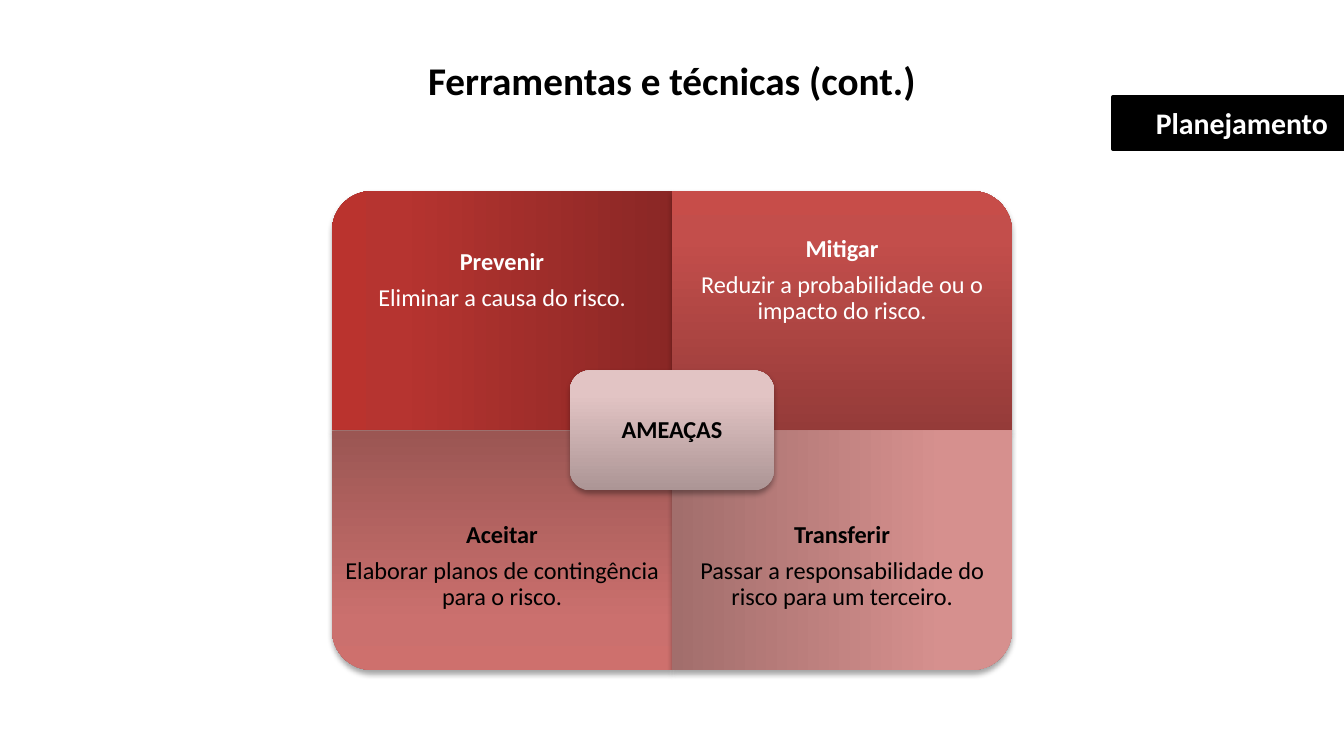
from pptx import Presentation
from pptx.dml.color import RGBColor
from pptx.enum.shapes import MSO_SHAPE as SHAPE
from pptx.enum.text import MSO_ANCHOR as ANCHOR, PP_ALIGN as ALIGN
from pptx.oxml import parse_xml
from pptx.util import Emu, Pt

PX = 914400 / 134.4
NS = 'xmlns:a="http://schemas.openxmlformats.org/drawingml/2006/main"'
WHITE, BLACK = "FFFFFF", "000000"

QUADRANTS = [
    (0, 0, 270, ("8A2725", "B63430", "BA332E"), WHITE,
     "Prevenir", "Eliminar a causa do risco."),
    (1, 0, 0, ("953B39", "C34E4B", "C74D49"), WHITE,
     "Mitigar", "Reduzir a probabilidade ou o impacto do risco."),
    (0, 1, 180, ("9B5653", "CB706E", "CE706D"), BLACK,
     "Aceitar", "Elaborar planos de contingência para o risco."),
    (1, 1, 90, ("A26E6C", "D6908E", "D88F8E"), BLACK,
     "Transferir", "Passar a responsabilidade do risco para um terceiro."),
]


def px(n):
    """Turn pixels into EMU."""
    return Emu(round(n * PX))


def rgb(hex_code):
    """Turn a hex string into a colour."""
    return RGBColor.from_string(hex_code)


def write(sp, lines, size, color, align=ALIGN.CENTER, anchor=ANCHOR.MIDDLE,
          insets=(16, 8, 16, 8), spacing=None):
    """Fill a shape with paragraphs, the first of them bold."""
    tf = sp.text_frame
    tf.word_wrap = True
    tf.vertical_anchor = anchor
    tf.margin_left, tf.margin_top, tf.margin_right, tf.margin_bottom = map(px, insets)
    for i, line in enumerate(lines):
        p = tf.paragraphs[0] if i == 0 else tf.add_paragraph()
        p.text = line
        p.alignment = align
        p.line_spacing = spacing
        if i:
            p.space_before = Pt(5)
        p.font.name, p.font.size, p.font.bold = "Calibri", Pt(size), i == 0
        p.font.color.rgb = rgb(color)


def add_text(s, box, lines, size, color, **options):
    """Add a text box."""
    write(s.shapes.add_textbox(*map(px, box)), lines, size, color, **options)


def add_panel(s, kind, box, colors, rotation=0):
    """Add a rounded panel with gradient and shadow that covers the box after rotation."""
    x, y, w, h = box
    if rotation % 180:
        x, y, w, h = x + (w - h) / 2, y + (h - w) / 2, h, w
    sp = s.shapes.add_shape(kind, px(x), px(y), px(w), px(h))
    sp.rotation = rotation
    sp.adjustments[0] = 0.167
    stops = "".join(f'<a:gs pos="{pos}"><a:srgbClr val="{c}"/></a:gs>'
                    for pos, c in zip((0, 80000, 100000), colors))
    spPr = sp._element.spPr
    spPr.append(parse_xml(
        f'<a:gradFill {NS} rotWithShape="1"><a:gsLst>{stops}</a:gsLst>'
        '<a:lin ang="16200000" scaled="0"/></a:gradFill>'))
    sp.line.fill.background()
    spPr.append(parse_xml(
        f'<a:effectLst {NS}><a:outerShdw blurRad="{Pt(3.1)}" dist="{Pt(1.8)}" '
        'dir="5400000" rotWithShape="0"><a:srgbClr val="000000">'
        '<a:alpha val="35000"/></a:srgbClr></a:outerShdw></a:effectLst>'))


def add_header(s, x, y, w):
    """Add the centred title and the phase tag at the right edge."""
    add_text(s, (x, y, w, 65), ["Ferramentas e técnicas (cont.)"], 21, BLACK,
             anchor=ANCHOR.TOP)
    tag_w = 231
    tag = s.shapes.add_shape(SHAPE.RECTANGLE, px(x + w - tag_w), px(y + 49),
                             px(tag_w), px(52))
    tag.shadow.inherit = False
    tag.fill.solid()
    tag.fill.fore_color.rgb = rgb(BLACK)
    tag.line.color.rgb = rgb(BLACK)
    tag.line.width = Pt(2)
    write(tag, ["Planejamento"], 16, WHITE, align=ALIGN.RIGHT)


def add_matrix(s, x, y, w, h):
    """Add the four threat responses around their central label."""
    cell_w, cell_h = w / 2, h / 2
    text_h = cell_h * 3 / 4
    for col, row, rotation, colors, color, name, detail in QUADRANTS:
        left, top = x + col * cell_w, y + row * cell_h
        add_panel(s, SHAPE.ROUND_1_RECTANGLE, (left, top, cell_w, cell_h),
                  colors, rotation)
        add_text(s, (left, top + row * (cell_h - text_h), cell_w, text_h),
                 [name, detail], 13, color, spacing=0.9,
                 insets=(13, 13, 13, 40 if row else 13))
    hub_w, hub_h = 204, 120
    hub = (x + (w - hub_w) / 2, y + (h - hub_h) / 2, hub_w, hub_h)
    add_panel(s, SHAPE.ROUNDED_RECTANGLE, hub, ("AC9595", "E2C4C4", "E4C4C4"))
    add_text(s, (hub[0] + 6, hub[1] + 6, hub_w - 12, hub_h - 12), ["AMEAÇAS"],
             13, BLACK, spacing=0.9, insets=(7, 7, 7, 7))


def main():
    """Build the slide and save it."""
    prs = Presentation()
    prs.slide_width, prs.slide_height = px(1344), px(756)
    s = prs.slides.add_slide(prs.slide_layouts[6])
    add_header(s, 0, 48, 1344)
    add_matrix(s, 332, 191, 680, 479)
    prs.save("out.pptx")


if __name__ == "__main__":
    main()
